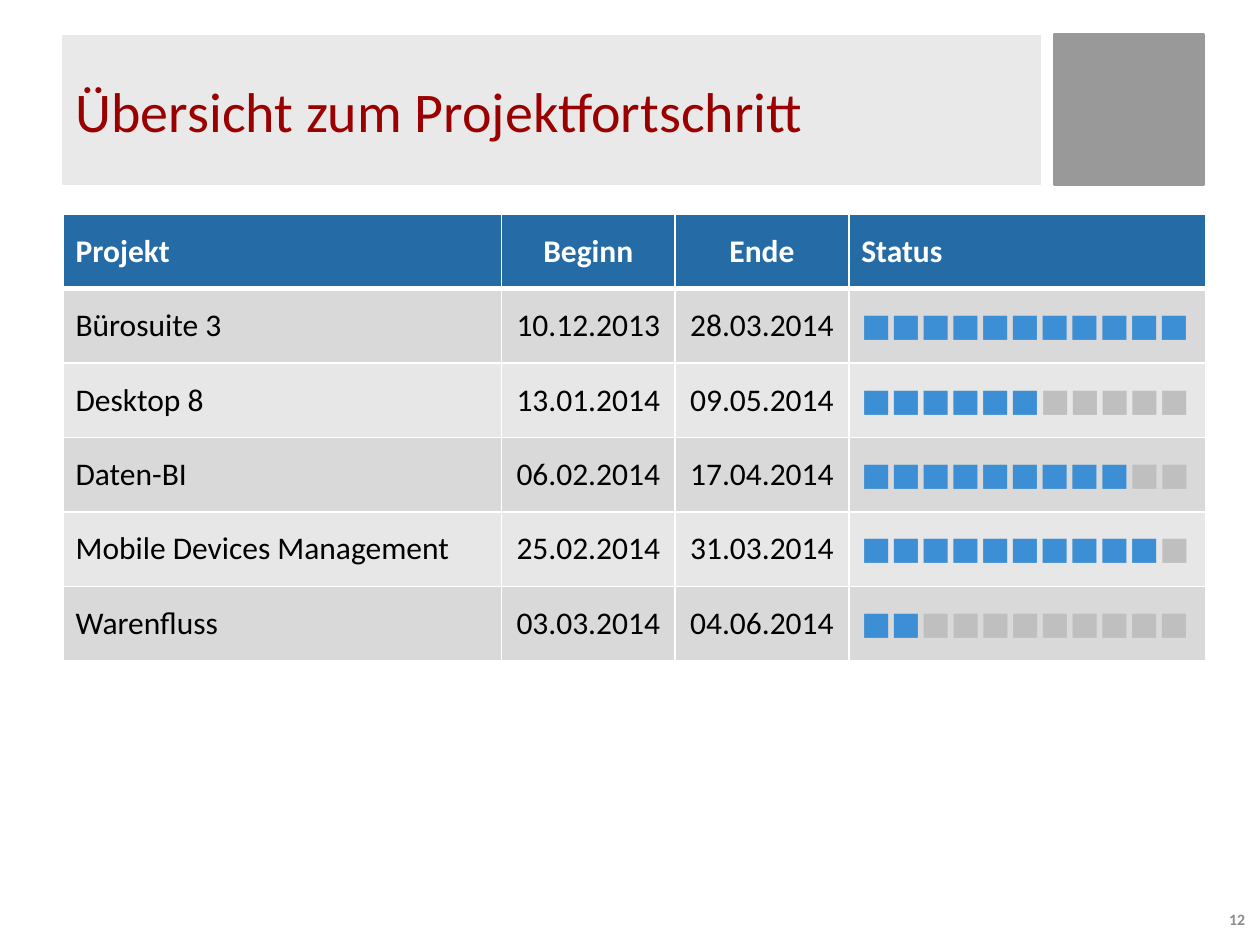
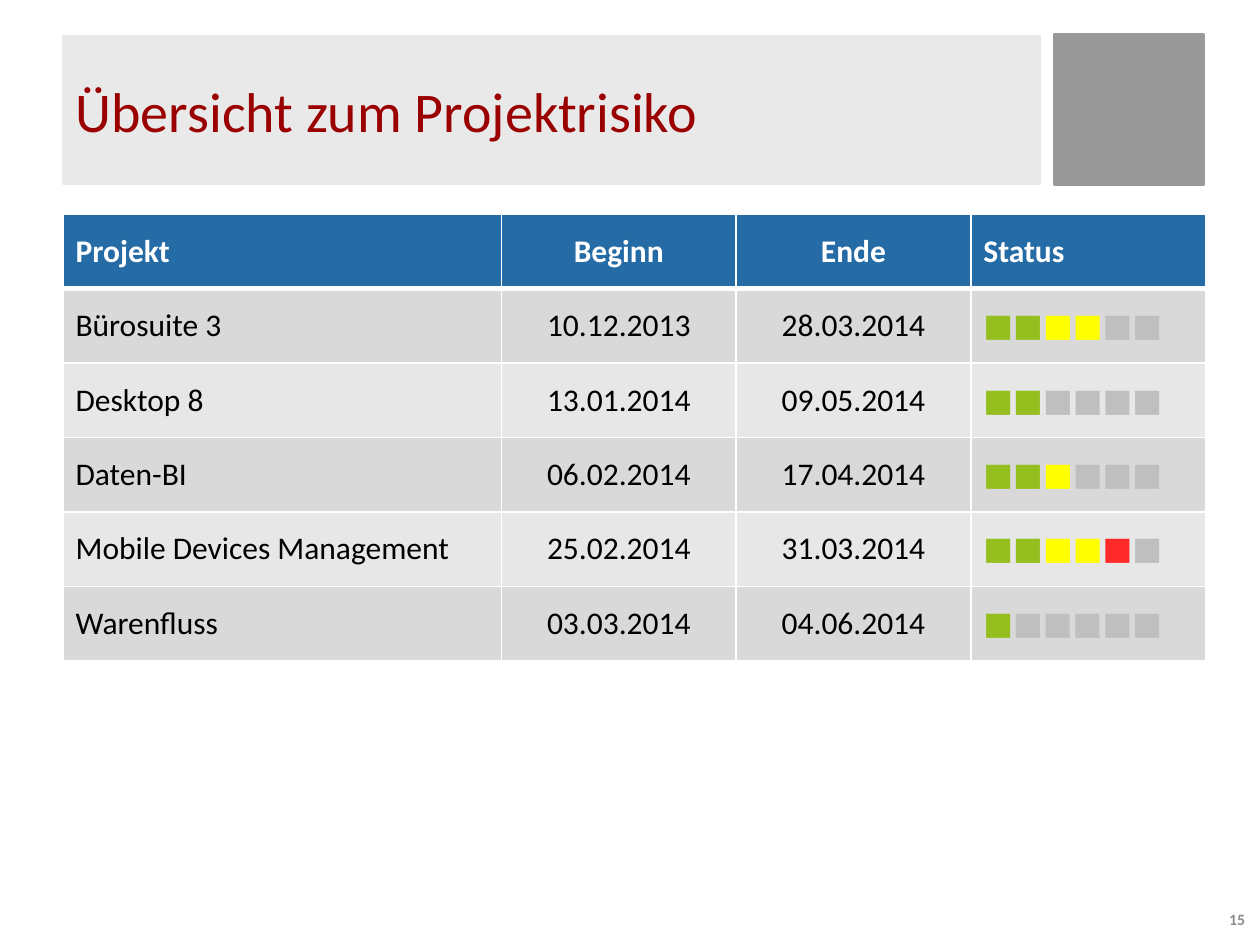
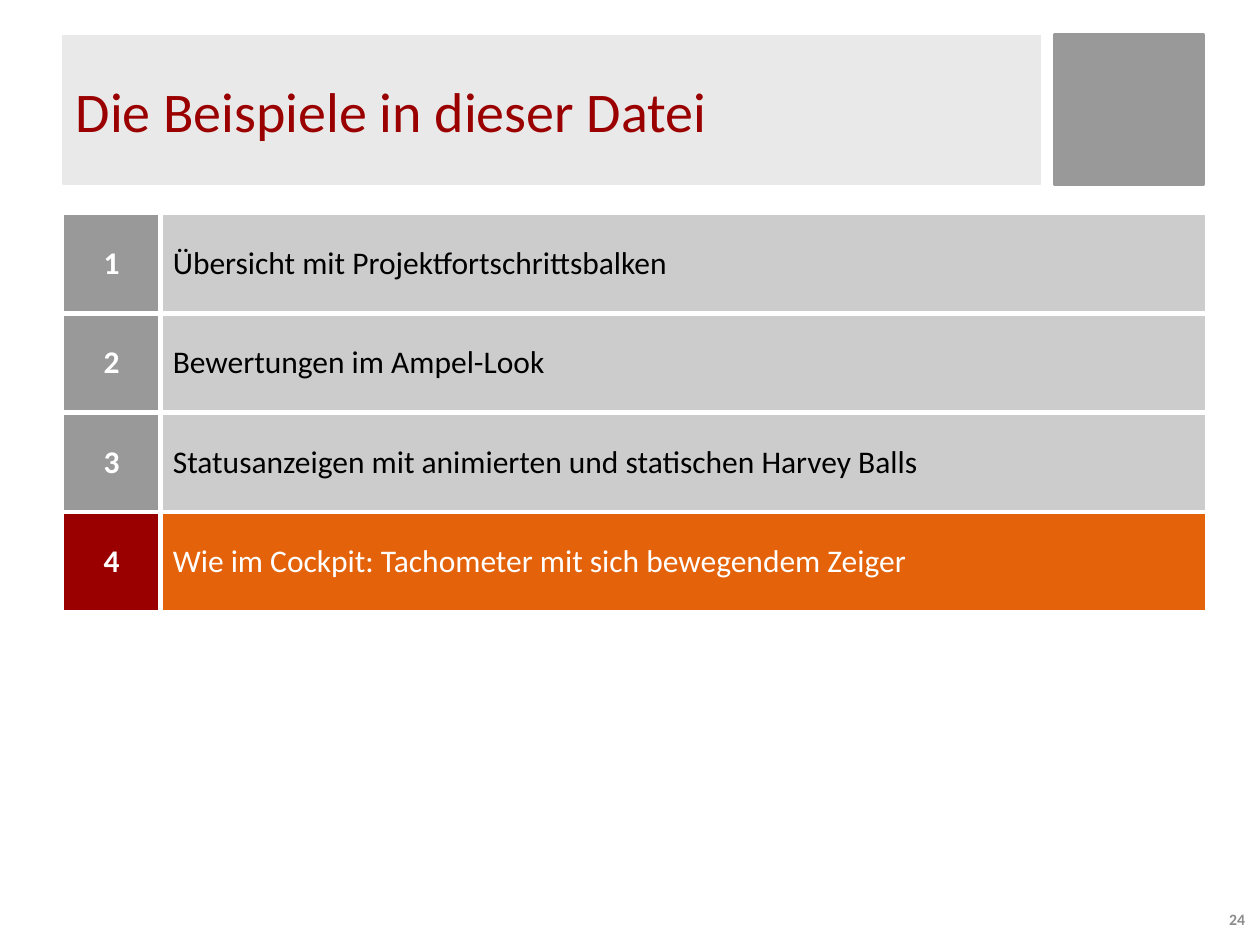
from lxml import etree
from pptx import Presentation
from pptx.dml.color import RGBColor
from pptx.enum import shapes, text
from pptx.oxml.ns import qn
from pptx.util import Cm, Pt

HUES = {
    "white": "FFFFFF", "black": "000000", "red": "9A0000", "orange": "E3620A",
    "band": "E9E9E9", "grey": "999999", "pale": "CCCCCC", "page": "8C8C8C",
    "head": "256CA7", "odd": "D9D9D9", "even": "E7E7E7",
    "done": "3C8FD4", "open": "BFBFBF",
    "low": "95BF1F", "mid": "FFFF00", "high": "FF2929",
}
HUES = {name: RGBColor.from_string(code) for name, code in HUES.items()}
LEFT, TOP, BAND = Cm(1.27), Cm(4.32), Cm(3)
MID = text.MSO_ANCHOR.MIDDLE
START, CENTER, END = text.PP_ALIGN.LEFT, text.PP_ALIGN.CENTER, text.PP_ALIGN.RIGHT


def style(para, size, hue, bold=False, align=START):
    para.alignment = align
    font = para.font
    font.name, font.size, font.bold = "Calibri", Pt(size), bold
    font.color.rgb = HUES[hue]


def fill_cell(cell, words, fill, hue, bold, align, edges):
    props = cell._tc.get_or_add_tcPr()
    for side, width in zip("LRTB", edges):
        line = etree.SubElement(props, qn(f"a:ln{side}"), w=str(Pt(width)))
        paint = etree.SubElement(line, qn("a:solidFill"))
        etree.SubElement(paint, qn("a:srgbClr"), val=str(HUES["white"]))
    cell.fill.solid()
    cell.fill.fore_color.rgb = HUES[fill]
    cell.vertical_anchor = MID
    para = cell.text_frame.paragraphs[0]
    style(para, 18, hue, bold, align)
    if isinstance(words, str):
        para.add_run().text = words
        return
    for mark, count in words:
        run = para.add_run()
        run.text = "■" * count
        run.font.color.rgb = HUES[mark]


plans = [
    ("Bürosuite 3", "10.12.2013", "28.03.2014"),
    ("Desktop 8", "13.01.2014", "09.05.2014"),
    ("Daten-BI", "06.02.2014", "17.04.2014"),
    ("Mobile Devices Management", "25.02.2014", "31.03.2014"),
    ("Warenfluss", "03.03.2014", "04.06.2014"),
]
steps = [[("done", n), ("open", 11 - n)] for n in (11, 6, 9, 10, 2)]
risks = [
    [("low", 2), ("mid", 2), ("open", 2)],
    [("low", 2), ("open", 4)],
    [("low", 2), ("mid", 1), ("open", 3)],
    [("low", 2), ("mid", 2), ("high", 1), ("open", 1)],
    [("low", 1), ("open", 5)],
]
topics = [
    "Übersicht mit Projektfortschrittsbalken",
    "Bewertungen im Ampel-Look",
    "Statusanzeigen mit animierten und statischen Harvey Balls",
    "Wie im Cockpit: Tachometer mit sich bewegendem Zeiger",
]
pages = [
    ("Übersicht zum Projektfortschritt", "12", (8.84, 3.5, 3.5, 7.19), 1.5, steps),
    ("Übersicht zum Projektrisiko", "15", (8.84, 4.73, 4.73, 4.73), 1.5, risks),
    ("Die Beispiele in dieser Datei", "24", (1.96, 21.07), 2, None),
]

deck = Presentation()
deck.slide_width, deck.slide_height = Cm(25.4), Cm(19.05)

for name, page, cols, high, marks in pages:
    slide = deck.slides.add_slide(deck.slide_layouts[5])

    block = slide.shapes.add_shape(
        shapes.MSO_SHAPE.RECTANGLE, Cm(21.26), Cm(0.71), BAND, BAND)
    block.shadow.inherit = False
    block.fill.solid()
    block.fill.fore_color.rgb = block.line.color.rgb = HUES["grey"]
    block.line.width = Pt(2)

    title = slide.shapes.title
    title.left, title.top, title.width, title.height = LEFT, Cm(0.71), Cm(19.71), BAND
    title.fill.solid()
    title.fill.fore_color.rgb = title.line.color.rgb = HUES["band"]
    title.line.width = Pt(0.75)
    title.text = name
    title.text_frame.vertical_anchor = MID
    style(title.text_frame.paragraphs[0], 32, "red")

    if marks:
        rows = [("Projekt", "Beginn", "Ende", "Status")]
        rows += [(*plan, mark) for plan, mark in zip(plans, marks)]
    else:
        rows = [(str(n), topic) for n, topic in enumerate(topics, 1)]

    grid = slide.shapes.add_table(
        len(rows), len(cols), LEFT, TOP, Cm(sum(cols)), Cm(high * len(rows))).table
    grid.first_row = grid.horz_banding = False
    for col, wide in zip(grid.columns, cols):
        col.width = Cm(wide)
    last = len(rows) - 1
    for r, row in enumerate(rows):
        grid.rows[r].height = Cm(high)
        for c, words in enumerate(row):
            if marks:
                bold = r == 0
                fill = "head" if bold else "odd" if r % 2 else "even"
                hue = "white" if bold else "black"
                align = CENTER if c in (1, 2) else START
                edges = 1, 1, 3 if r == 1 else 1, 3 if bold else 1
            else:
                bold = c == 0
                active = r == last
                fill = ("red", "orange")[c] if active else ("grey", "pale")[c]
                hue = "white" if bold or active else "black"
                align = CENTER if bold else START
                edges = (1 if bold else 3, 3 if bold else 1,
                         3 if r else 1, 1 if active else 3)
            fill_cell(grid.cell(r, c), words, fill, hue, bold, align, edges)

    foot = slide.shapes.add_textbox(Cm(23.32), Cm(18.14), Cm(2.03), Cm(0.79)).text_frame
    foot.word_wrap = True
    foot.vertical_anchor = MID
    foot.text = page
    style(foot.paragraphs[0], 9, "page", True, END)

deck.save("out.pptx")
